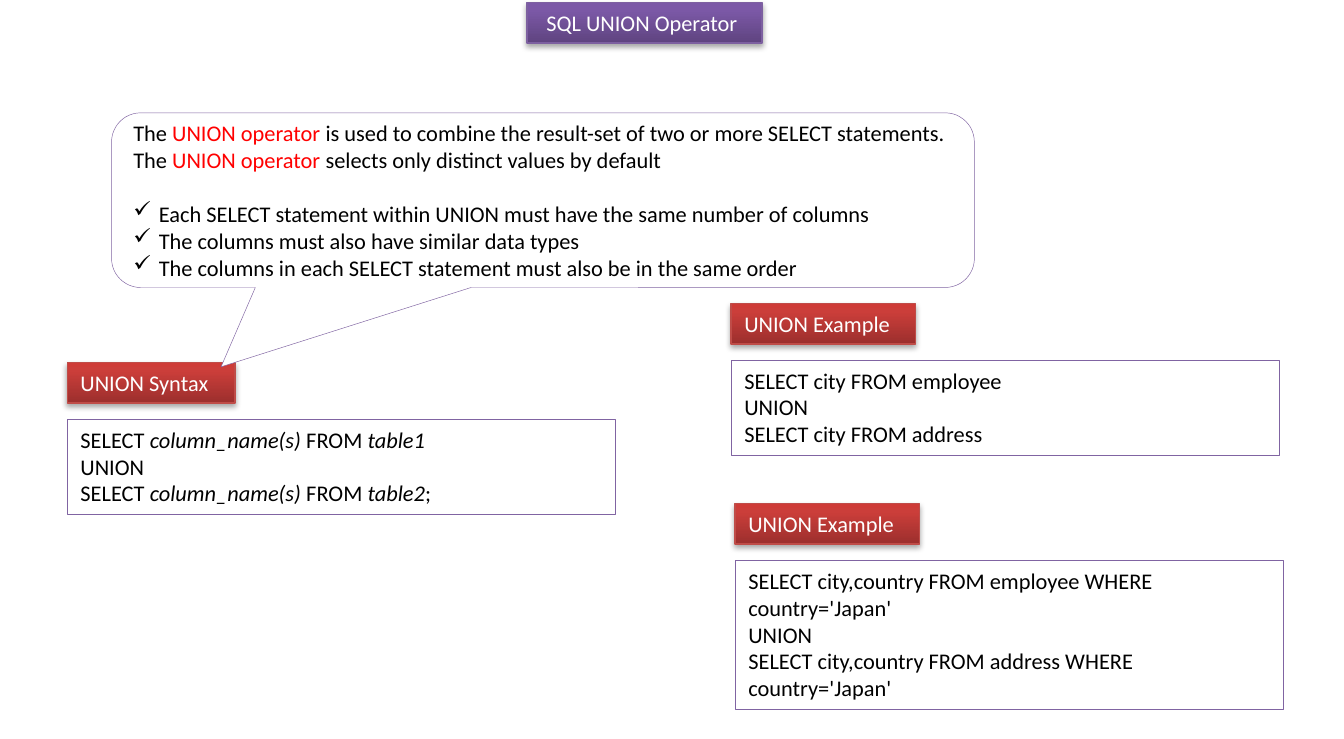
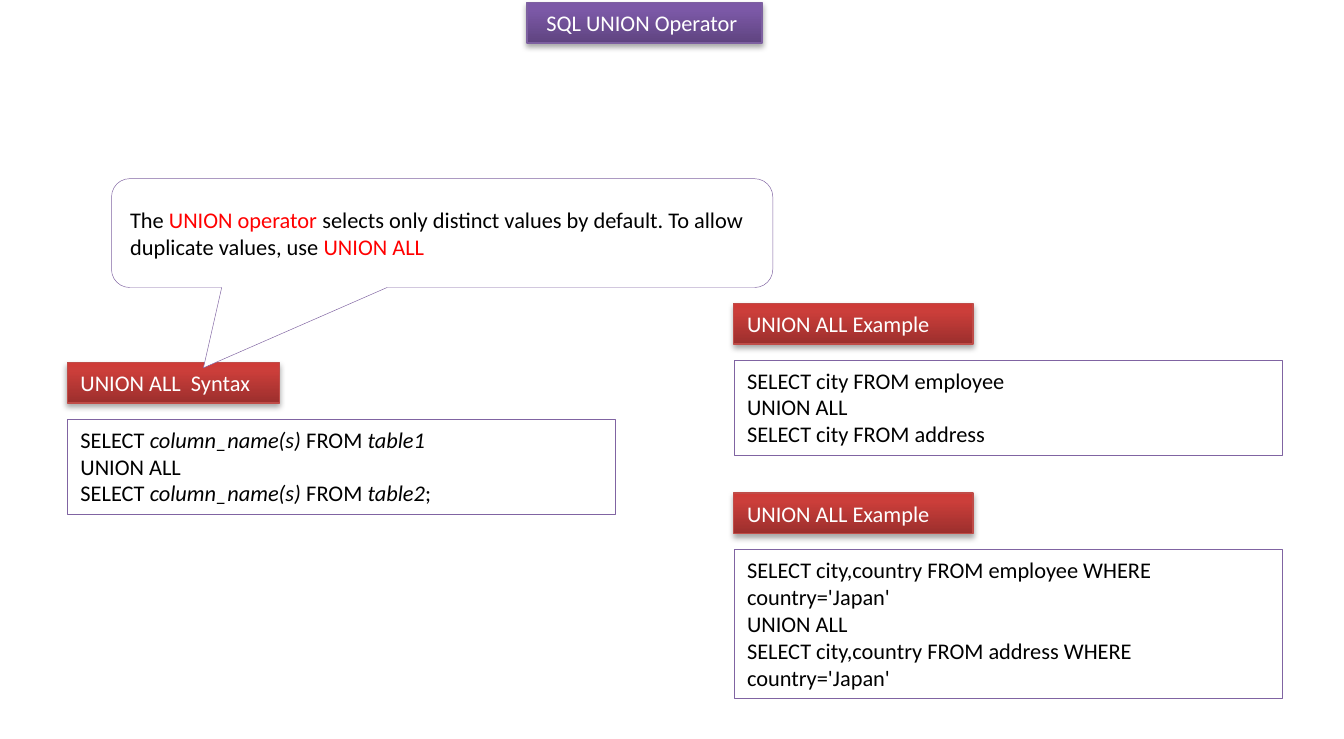
from lxml import etree
from pptx import Presentation
from pptx.dml.color import RGBColor
from pptx.enum.shapes import MSO_SHAPE
from pptx.enum.text import MSO_ANCHOR, MSO_AUTO_SIZE, PP_ALIGN
from pptx.oxml import parse_xml
from pptx.oxml.ns import nsdecls, qn
from pptx.util import Inches, Pt

RECTANGLE = MSO_SHAPE.RECTANGLE
CALLOUT = MSO_SHAPE.ROUNDED_RECTANGULAR_CALLOUT
TOP, MIDDLE = MSO_ANCHOR.TOP, MSO_ANCHOR.MIDDLE
LEFT, CENTER = PP_ALIGN.LEFT, PP_ALIGN.CENTER
FIT_SHAPE = MSO_AUTO_SIZE.SHAPE_TO_FIT_TEXT

WHITE, BLACK, RED, OUTLINE = "FFFFFF", "000000", "FF0000", "8064A2"
PURPLE_BAND = {"line": "7D60A0", "stops": [(0, "5F4480"), (80, "7B58A6"), (100, "7C57A8")]}
RED_BAND = {"line": "BF4C48", "stops": [(0, "9C2F2D"), (80, "CB3E3A"), (100, "CE3B37")]}
FONT, TEXT_SIZE = "Calibri", 12
LINE_HEIGHT, BOX_PADDING = 0.2, 0.11
LABEL_HEIGHT, LABEL_TO_CODE, CODE_WIDTH = 0.3, 0.42, 4.08
BULLET_INDENT = 0.19

# Content: asterisks enclose the emphasised words
TITLE = "SQL UNION Operator "
SYNTAX = ["SELECT *column_name(s)* FROM *table1*", "SELECT *column_name(s)* FROM *table2*;"]
ALL_CITIES = ["SELECT city FROM employee", "SELECT city FROM address"]
JAPAN_CITIES = [
    "SELECT city,country FROM employee WHERE country='Japan'",
    "SELECT city,country FROM address WHERE country='Japan'",
]
SLIDES = [
    {
        "operator": "UNION",
        "intro": "The *UNION operator* is used to combine the result-set of two or more SELECT "
                 "statements. The *UNION operator* selects only distinct values by default",
        "bullets": [
            "Each SELECT statement within UNION must have the same number of columns",
            "The columns must also have similar data types",
            "The columns in each SELECT statement must also be in the same order",
        ],
        "callout": (0.83, 0.84, 6.42, 1.3),
        "pointer": (-0.373, 0.954),
        # label, label width, left, top, queries, lines shown
        "blocks": [
            ("UNION Syntax", 1.25, 0.5, 2.7, SYNTAX, 3),
            ("UNION Example", 1.37, 5.44, 2.26, ALL_CITIES, 3),
            ("UNION Example", 1.37, 5.47, 3.75, JAPAN_CITIES, 5),
        ],
    },
    {
        "operator": "UNION ALL",
        "intro": "The *UNION operator* selects only distinct values by default. "
                 "To allow duplicate values, use *UNION ALL*",
        "bullets": [],
        "callout": (0.83, 1.33, 4.92, 0.81),
        "pointer": (-0.361, 1.238),
        "blocks": [
            ("UNION ALL  Syntax", 1.58, 0.5, 2.7, SYNTAX, 3),
            ("UNION ALL Example", 1.78, 5.46, 2.26, ALL_CITIES, 3),
            ("UNION ALL Example", 1.78, 5.46, 3.67, JAPAN_CITIES, 5),
        ],
    },
]


def color(hex_value):
    return RGBColor.from_string(hex_value)


def add_box(slide, kind, box, line_color, line_width):
    shape = slide.shapes.add_shape(kind, *[Inches(value) for value in box])
    shape.shadow.inherit = False
    shape.fill.solid()
    shape.fill.fore_color.rgb = color(WHITE)
    shape.line.color.rgb = color(line_color)
    shape.line.width = Pt(line_width)
    return shape


def write_text(shape, lines, text_color, anchor=TOP, align=LEFT, emphasis=None):
    text_frame = shape.text_frame
    text_frame.word_wrap = True
    text_frame.vertical_anchor = anchor
    if anchor == TOP:
        text_frame.auto_size = FIT_SHAPE
    for index, line in enumerate(lines):
        paragraph = text_frame.add_paragraph() if index else text_frame.paragraphs[0]
        paragraph.alignment = align
        for position, part in enumerate(line.split("*")):
            if not part:
                continue
            run = paragraph.add_run()
            run.text = part
            run.font.name = FONT
            run.font.size = Pt(TEXT_SIZE)
            run.font.color.rgb = color(text_color)
            if position % 2 and emphasis:
                emphasis(run.font)


def make_italic(font):
    font.italic = True


def make_red(font):
    font.color.rgb = color(RED)


def add_band(slide, box, text, style, align=LEFT):
    """Gradient label with a soft shadow below it."""
    shape = add_box(slide, RECTANGLE, box, style["line"], 0.75)
    properties = shape._element.spPr
    stops = "".join(
        f'<a:gs pos="{position * 1000}"><a:srgbClr val="{stop}"/></a:gs>'
        for position, stop in style["stops"]
    )
    gradient = parse_xml(
        f'<a:gradFill {nsdecls("a")} rotWithShape="1"><a:gsLst>{stops}</a:gsLst>'
        '<a:lin ang="16200000" scaled="0"/></a:gradFill>'
    )
    properties.replace(properties.find(qn("a:solidFill")), gradient)
    shadow = parse_xml(
        f'<a:outerShdw {nsdecls("a")} blurRad="{Pt(3.1)}" dist="{Pt(1.8)}" dir="5400000" '
        f'rotWithShape="0"><a:srgbClr val="{BLACK}"><a:alpha val="35000"/></a:srgbClr></a:outerShdw>'
    )
    properties.find(qn("a:effectLst")).append(shadow)
    write_text(shape, [text], WHITE, align=align)


def add_code_block(slide, operator, label, label_width, left, top, queries, line_count):
    height = BOX_PADDING + LINE_HEIGHT * line_count
    box = (left, top + LABEL_TO_CODE, CODE_WIDTH, height)
    shape = add_box(slide, RECTANGLE, box, OUTLINE, 0.25)
    first, second = queries
    write_text(shape, [first, operator, second], BLACK, emphasis=make_italic)
    add_band(slide, (left, top, label_width, LABEL_HEIGHT), label, RED_BAND)


def add_callout(slide, content):
    shape = add_box(slide, CALLOUT, content["callout"], OUTLINE, 0.25)
    for index, value in enumerate(content["pointer"]):
        shape.adjustments[index] = value
    lines = [content["intro"]] + content["bullets"]
    write_text(shape, lines, BLACK, anchor=MIDDLE, emphasis=make_red)
    for index, paragraph in enumerate(shape.text_frame.paragraphs[1:]):
        properties = paragraph._p.get_or_add_pPr()
        properties.set("marL", str(Inches(BULLET_INDENT)))
        properties.set("indent", str(-Inches(BULLET_INDENT)))
        etree.SubElement(properties, qn("a:buChar")).set("char", "✓")
        if index == 0:
            paragraph.space_before = Pt(14.4)


def main():
    presentation = Presentation()
    presentation.slide_width, presentation.slide_height = Inches(10), Inches(5.5)
    for content in SLIDES:
        slide = presentation.slides.add_slide(presentation.slide_layouts[6])
        add_band(slide, (3.92, 0.02, 1.75, LABEL_HEIGHT), TITLE, PURPLE_BAND, CENTER)
        for block in content["blocks"]:
            add_code_block(slide, content["operator"], *block)
        add_callout(slide, content)
    presentation.save("out.pptx")


if __name__ == "__main__":
    main()
